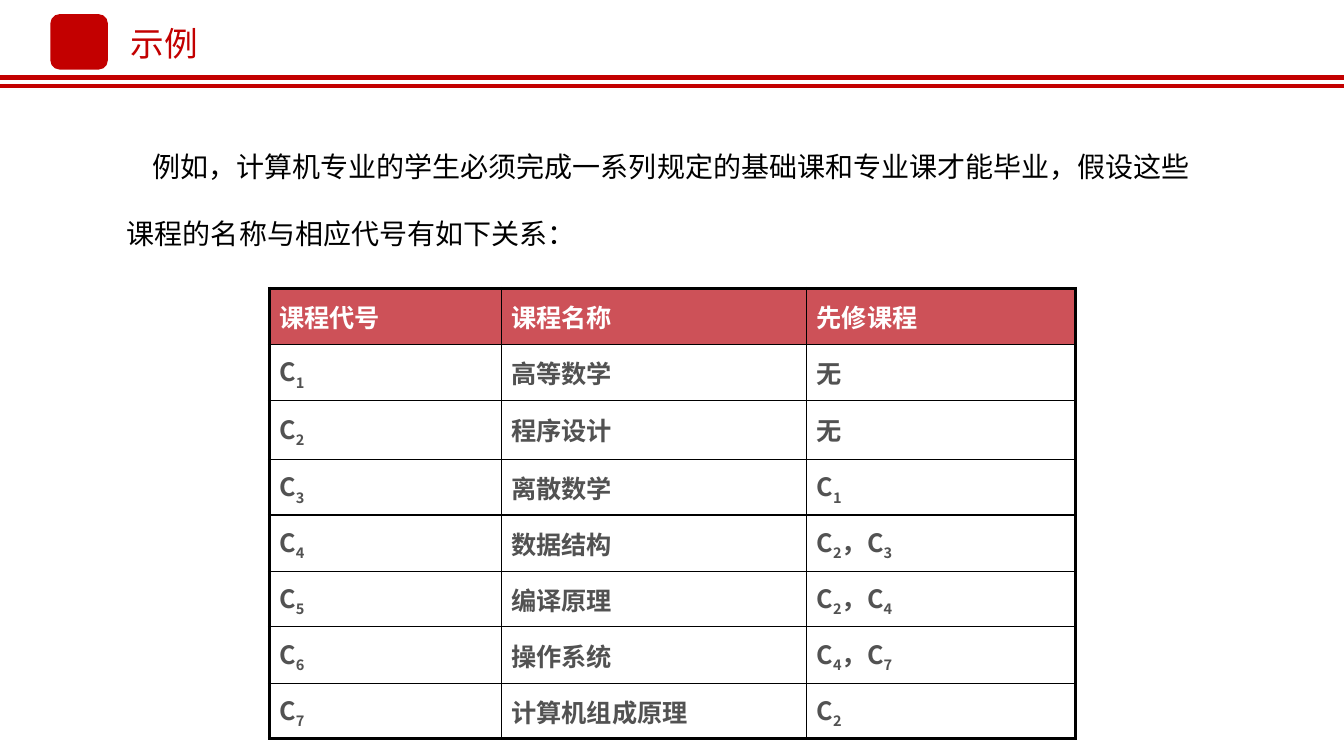
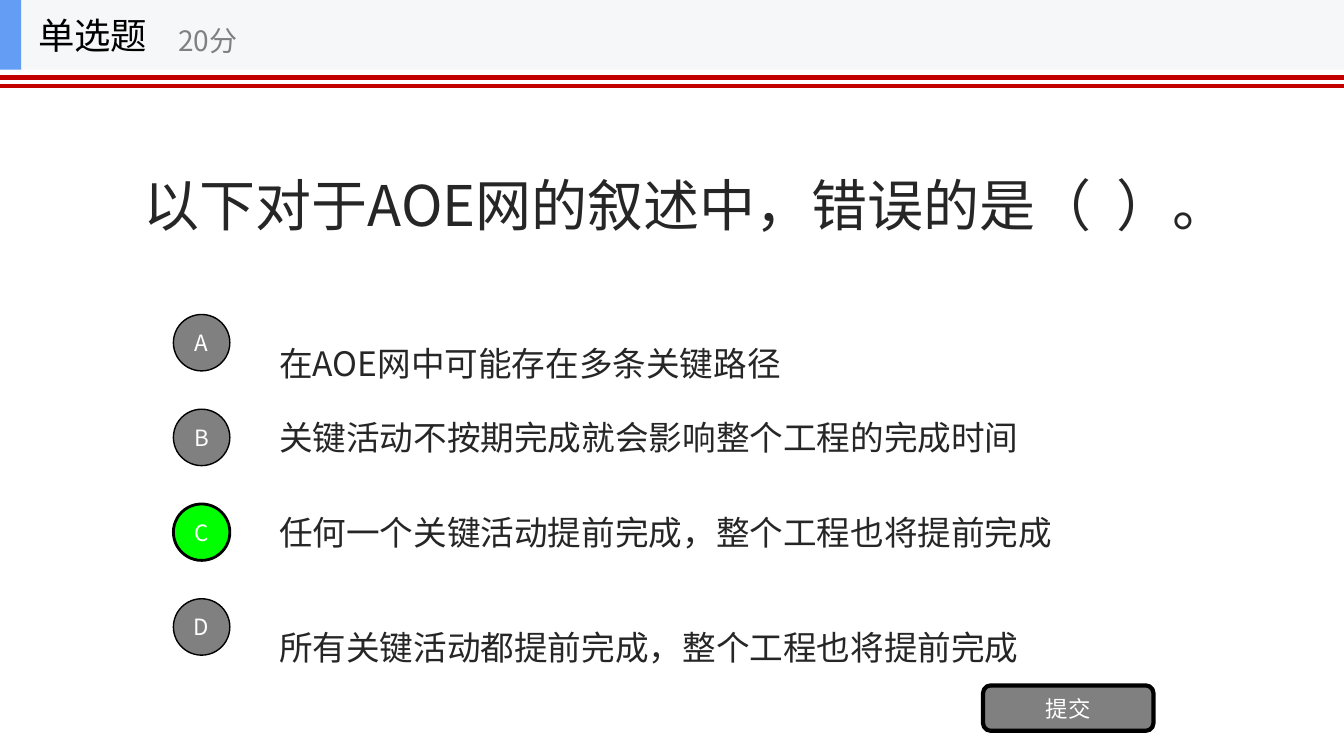
from itertools import groupby

from lxml import etree
from pptx import Presentation
from pptx.dml.color import RGBColor
from pptx.enum.shapes import MSO_CONNECTOR, MSO_SHAPE
from pptx.enum.text import MSO_ANCHOR, PP_ALIGN
from pptx.oxml.ns import qn
from pptx.util import Emu, Pt

# Shared look: 100 px to the inch
PX = 9144
SLIDE_W, SLIDE_H = 1333, 750
FONT = "Noto Sans CJK SC"
RED, HEADER_RED = "C30000", "CD5158"
BLACK, INK, CELL_INK = "000000", "262626", "525252"
WHITE, GRAY, GREEN = "FFFFFF", "808080", "00FF00"
BAND, BLUE = "F6F7F8", "639EF4"
THIN, THICK = 1, 2.25

COURSE_COLS = [230, 303, 267]
COURSE_ROWS = [56, 55, 59, 55, 56, 55, 56, 55]
COURSES = [
    ("课程代号", "课程名称", "先修课程"),
    ("C1", "高等数学", "无"),
    ("C2", "程序设计", "无"),
    ("C3", "离散数学", "C1"),
    ("C4", "数据结构", "C2，C3"),
    ("C5", "编译原理", "C2，C4"),
    ("C6", "操作系统", "C4，C7"),
    ("C7", "计算机组成原理", "C2"),
]

# Letter, wording, line spacing, whether it is the right answer
OPTIONS = [
    ("A", "在AOE网中可能存在多条关键路径", 2, False),
    ("B", "关键活动不按期完成就会影响整个工程的完成时间", 1, False),
    ("C", "任何一个关键活动提前完成，整个工程也将提前完成", 1, True),
    ("D", "所有关键活动都提前完成，整个工程也将提前完成", 2, False),
]
OPTION_TOP, OPTION_STEP = 305, 94


def px(n):
    return Emu(n * PX)


def rgb(color):
    return RGBColor.from_string(color)


def add_run(p, text, size, color, bold=False):
    r = p.add_run()
    r.text = text
    r.font.size = Pt(size)
    r.font.bold = bold
    r.font.name = FONT
    r.font.color.rgb = rgb(color)
    ea = etree.SubElement(r.font._element, qn("a:ea"))
    ea.set("typeface", FONT)
    return r


def add_text(s, box, text, size, color, anchor=MSO_ANCHOR.MIDDLE, spacing=1):
    sp = s.shapes.add_textbox(*map(px, box))
    tf = sp.text_frame
    tf.word_wrap = True
    tf.vertical_anchor = anchor
    p = tf.paragraphs[0]
    p.line_spacing = float(spacing)
    add_run(p, text, size, color)
    return p


def add_box(s, kind, box, fill, line_width=0, text=""):
    sp = s.shapes.add_shape(kind, *map(px, box))
    sp.shadow.inherit = False
    sp.fill.solid()
    sp.fill.fore_color.rgb = rgb(fill)
    if line_width:
        sp.line.color.rgb = rgb(BLACK)
        sp.line.width = Pt(line_width)
    else:
        sp.line.fill.background()
    if text:
        tf = sp.text_frame
        tf.margin_left = tf.margin_right = 0
        tf.vertical_anchor = MSO_ANCHOR.MIDDLE
        p = tf.paragraphs[0]
        p.alignment = PP_ALIGN.CENTER
        add_run(p, text, 16, WHITE)
    return sp


def add_slide(prs):
    """Blank slide with the double red rule."""
    s = prs.slides.add_slide(prs.slide_layouts[6])
    for y in (77, 85):
        rule = s.shapes.add_connector(
            MSO_CONNECTOR.STRAIGHT, 0, px(y), prs.slide_width, px(y))
        rule.line.color.rgb = rgb(RED)
        rule.line.width = Pt(3)
        etree.SubElement(rule._element.spPr, qn("a:effectLst"))
    return s


def set_borders(cell, widths):
    tcPr = cell._tc.get_or_add_tcPr()
    for side, width in zip("LRTB", widths):
        ln = etree.SubElement(tcPr, qn(f"a:ln{side}"), w=str(Pt(width)))
        fill = etree.SubElement(ln, qn("a:solidFill"))
        etree.SubElement(fill, qn("a:srgbClr"), val=BLACK)


def fill_cell(cell, text, is_header):
    if is_header:
        cell.fill.solid()
        cell.fill.fore_color.rgb = rgb(HEADER_RED)
    else:
        cell.fill.background()
    cell.vertical_anchor = MSO_ANCHOR.MIDDLE
    p = cell.text_frame.paragraphs[0]
    p.alignment = PP_ALIGN.JUSTIFY
    # Digits of a course code are subscripts
    for is_digit, chars in groupby(text, str.isdigit):
        r = add_run(p, "".join(chars), 18, WHITE if is_header else CELL_INK, True)
        if is_digit:
            r.font._element.set("baseline", "-25000")


def add_course_table(s, left, top):
    frame = s.shapes.add_table(
        len(COURSE_ROWS), len(COURSE_COLS), px(left), px(top),
        px(sum(COURSE_COLS)), px(sum(COURSE_ROWS)))
    table = frame.table
    table.first_row = table.horz_banding = False
    for col, width in zip(table.columns, COURSE_COLS):
        col.width = px(width)
    for row, height in zip(table.rows, COURSE_ROWS):
        row.height = px(height)
    last_row, last_col = len(COURSE_ROWS) - 1, len(COURSE_COLS) - 1
    for i, course in enumerate(COURSES):
        for j, text in enumerate(course):
            cell = table.cell(i, j)
            outer = (j == 0, j == last_col, i == 0, i == last_row)
            set_borders(cell, [THICK if edge else THIN for edge in outer])
            fill_cell(cell, text, i == 0)


def build_example(prs):
    s = add_slide(prs)
    # Title with emblem
    add_box(s, MSO_SHAPE.ROUNDED_RECTANGLE, (50, 14, 57, 55), RED)
    add_text(s, (120, 18, 120, 50), "示例", 24, RED)
    # Introduction
    p = add_text(
        s, (116, 110, 1101, 145),
        "例如，计算机专业的学生必须完成一系列规定的基础课和专业课才能毕业，"
        "假设这些课程的名称与相应代号有如下关系：",
        20, BLACK, MSO_ANCHOR.TOP, 2)
    p._p.get_or_add_pPr().set("indent", str(px(25)))
    add_course_table(s, 267, 286)


def build_quiz(prs):
    s = add_slide(prs)
    # Header band
    add_box(s, MSO_SHAPE.RECTANGLE, (0, 0, SLIDE_W, 69), BAND)
    add_box(s, MSO_SHAPE.RECTANGLE, (0, 0, 21, 69), BLUE)
    add_text(s, (28, 0, 208, 69), "单选题", 26, BLACK)
    add_text(s, (167, 12, 250, 56), "20分", 20, GRAY)
    # Question
    add_text(s, (133, 69, 1067, 234), "以下对于AOE网的叙述中，错误的是（  ）。",
             40, INK, spacing=1.5)
    # Options
    for i, (letter, text, spacing, is_answer) in enumerate(OPTIONS):
        y = OPTION_TOP + i * OPTION_STEP
        add_text(s, (267, y, 933, 70), text, 24, INK, spacing=spacing)
        add_box(s, MSO_SHAPE.OVAL, (172, y + 7, 56, 56),
                GREEN if is_answer else GRAY, 2 if is_answer else 1, letter)
    # Submit button
    add_box(s, MSO_SHAPE.ROUNDED_RECTANGLE, (975, 680, 169, 45), GRAY, 3, "提交")


def main():
    prs = Presentation()
    prs.slide_width, prs.slide_height = px(SLIDE_W), px(SLIDE_H)
    build_example(prs)
    build_quiz(prs)
    prs.save("out.pptx")


if __name__ == "__main__":
    main()
